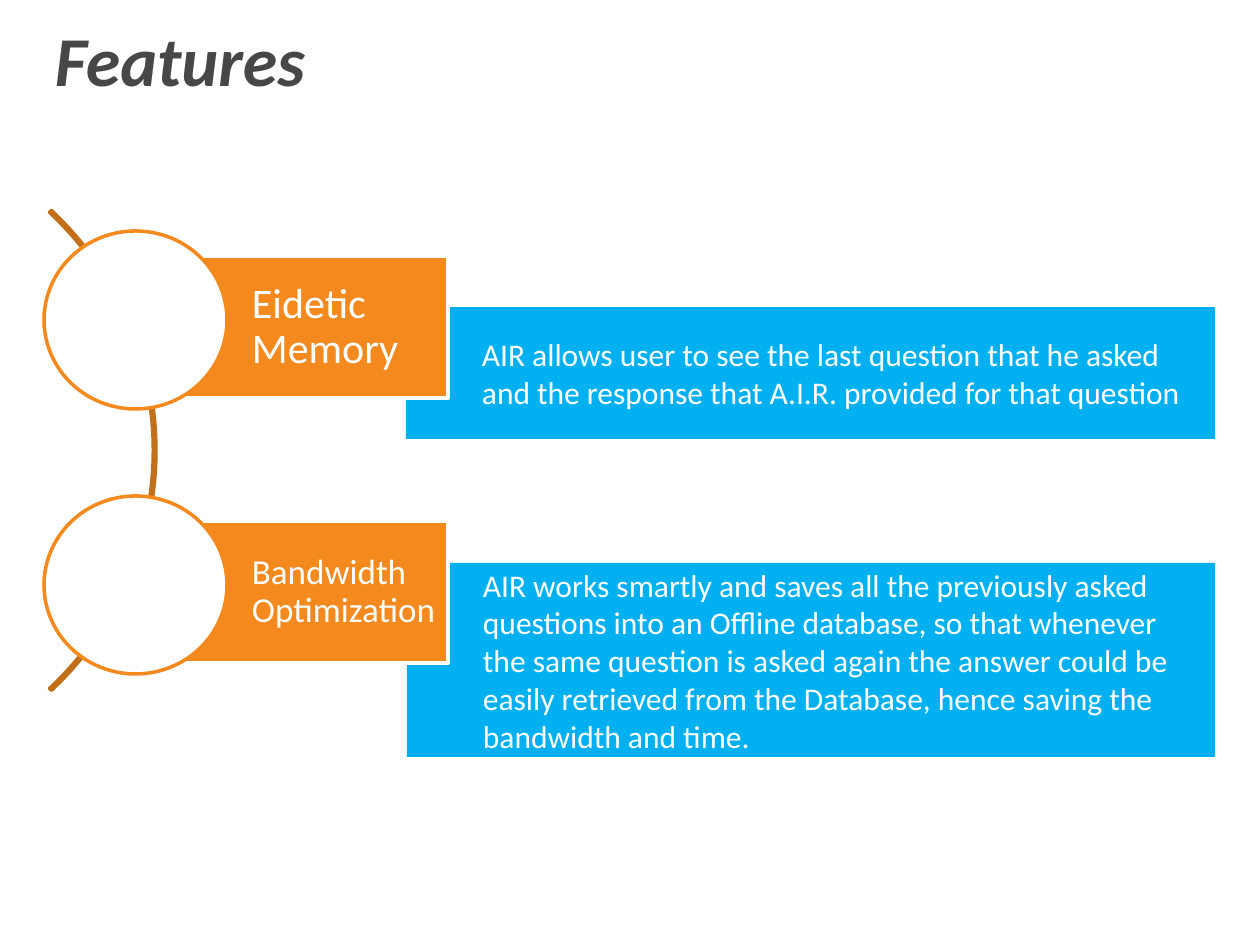
from pptx import Presentation
from pptx.dml.color import RGBColor
from pptx.enum.shapes import MSO_SHAPE
from pptx.enum.text import MSO_ANCHOR, PP_ALIGN
from pptx.util import Emu, Pt

PX = 914400 / 126
ORANGE = RGBColor(0xF4, 0x89, 0x1E)
DARK_ORANGE = RGBColor(0xC3, 0x6E, 0x18)
BLUE = RGBColor(0x00, 0xB0, 0xF0)
WHITE = RGBColor(0xFF, 0xFF, 0xFF)
GRAY = RGBColor(0x47, 0x47, 0x47)


def add_shape(kind, x, y, w, h, fill=None, line=None):
    sp = s.shapes.add_shape(kind, *(Emu(round(v * PX)) for v in (x, y, w, h)))
    sp.shadow.inherit = False
    if fill is None:
        sp.fill.background()
    else:
        sp.fill.solid()
        sp.fill.fore_color.rgb = fill
    if line is None:
        sp.line.fill.background()
    else:
        sp.line.color.rgb = line
        sp.line.width = Pt(2)
    return sp


def write(sp, text, size, color=WHITE, bold=False, italic=False,
          anchor=MSO_ANCHOR.MIDDLE, spacing=None, indent=0, insets=(13, 6, 13, 6)):
    """Insets are left, top, right, bottom in px."""
    tf = sp.text_frame
    tf.word_wrap = True
    tf.vertical_anchor = anchor
    tf.margin_left, tf.margin_top, tf.margin_right, tf.margin_bottom = (
        Emu(round(v * PX)) for v in insets)
    p = tf.paragraphs[0]
    p.alignment = PP_ALIGN.LEFT
    if spacing:
        p.line_spacing = spacing
    if indent:
        p.level = 1
        pPr = p._p.get_or_add_pPr()
        pPr.set("marL", str(round(indent * PX)))
        pPr.set("indent", "0")
    r = p.add_run()
    r.text = text
    r.font.name = "Calibri"
    r.font.size = Pt(size)
    r.font.bold = bold
    r.font.italic = italic
    r.font.color.rgb = color


prs = Presentation()
prs.slide_width = Emu(round(1260 * PX))
prs.slide_height = Emu(round(945 * PX))
s = prs.slides.add_slide(prs.slide_layouts[6])

descriptions = [
    ((407, 563, 808, 194),
     "AIR works smartly and saves all the previously asked questions into an Offline "
     "database, so that whenever the same question is asked again the answer could be "
     "easily retrieved from the Database, hence saving the bandwidth and time."),
    ((406, 307, 809, 132),
     "AIR allows user to see the last question that he asked and the response that "
     "A.I.R. provided for that question"),
]
for box, text in descriptions:
    write(add_shape(MSO_SHAPE.RECTANGLE, *box, fill=BLUE), text, 18, indent=63)

arc = add_shape(MSO_SHAPE.BLOCK_ARC, -533, 116, 689, 669, line=DARK_ORANGE)
for i, value in enumerate((189, 27, 0.004)):
    arc.adjustments[i] = value

features = [("Eidetic Memory", 24, 9), ("Bandwidth Optimization", 20, 8)]
for i, (name, size, inset) in enumerate(features):
    top = 256 + 265 * i
    label = add_shape(MSO_SHAPE.RECTANGLE, 136, top, 312, 142, fill=ORANGE, line=WHITE)
    write(label, name, size, spacing=0.9, insets=(116, inset, inset, inset))
    add_shape(MSO_SHAPE.OVAL, 44, top - 25, 183, 178, fill=WHITE, line=ORANGE)

title = s.shapes.add_textbox(*(Emu(round(v * PX)) for v in (42, 10, 451, 97)))
write(title, "Features", 40, color=GRAY, bold=True, italic=True, anchor=MSO_ANCHOR.TOP)

prs.save("out.pptx")
